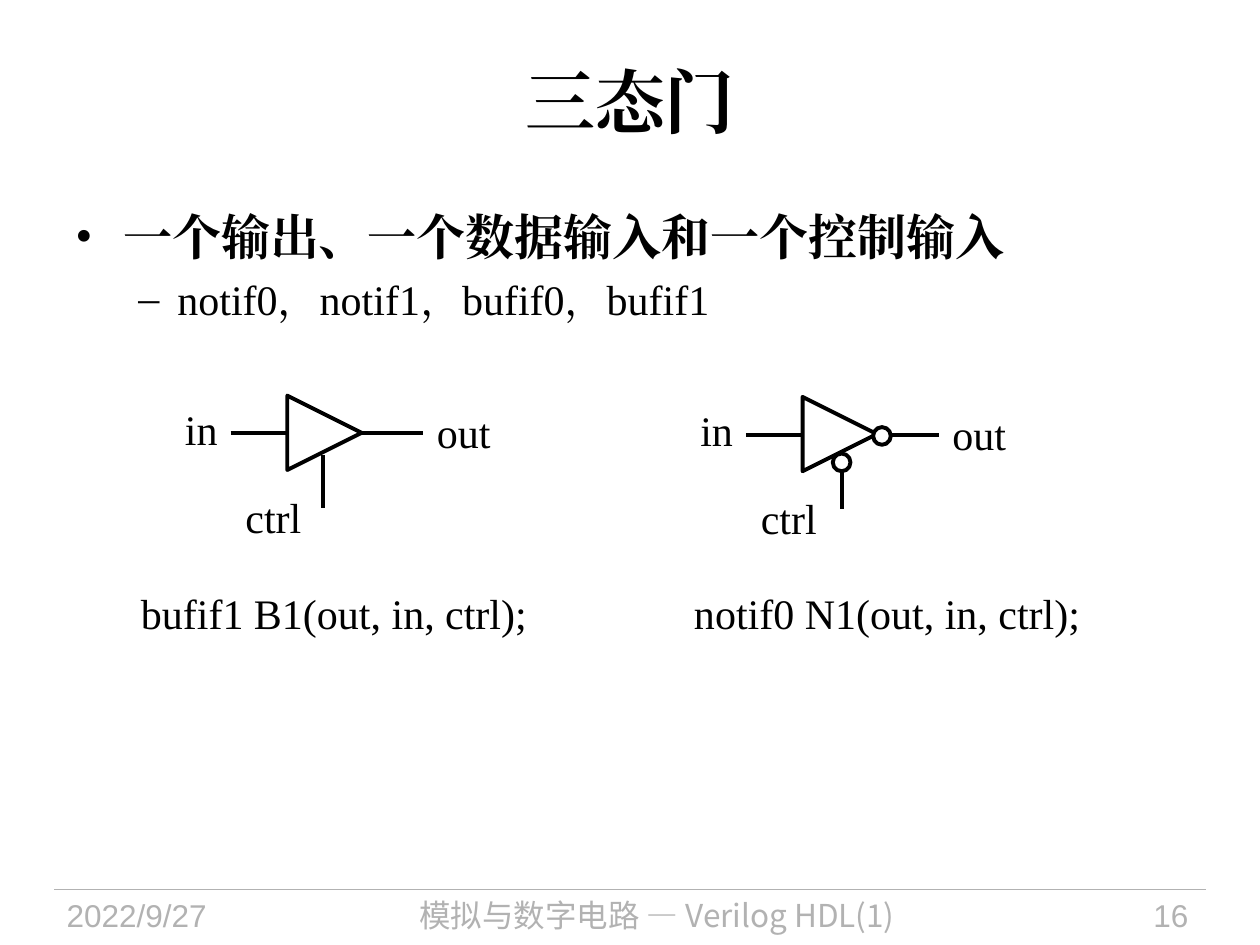
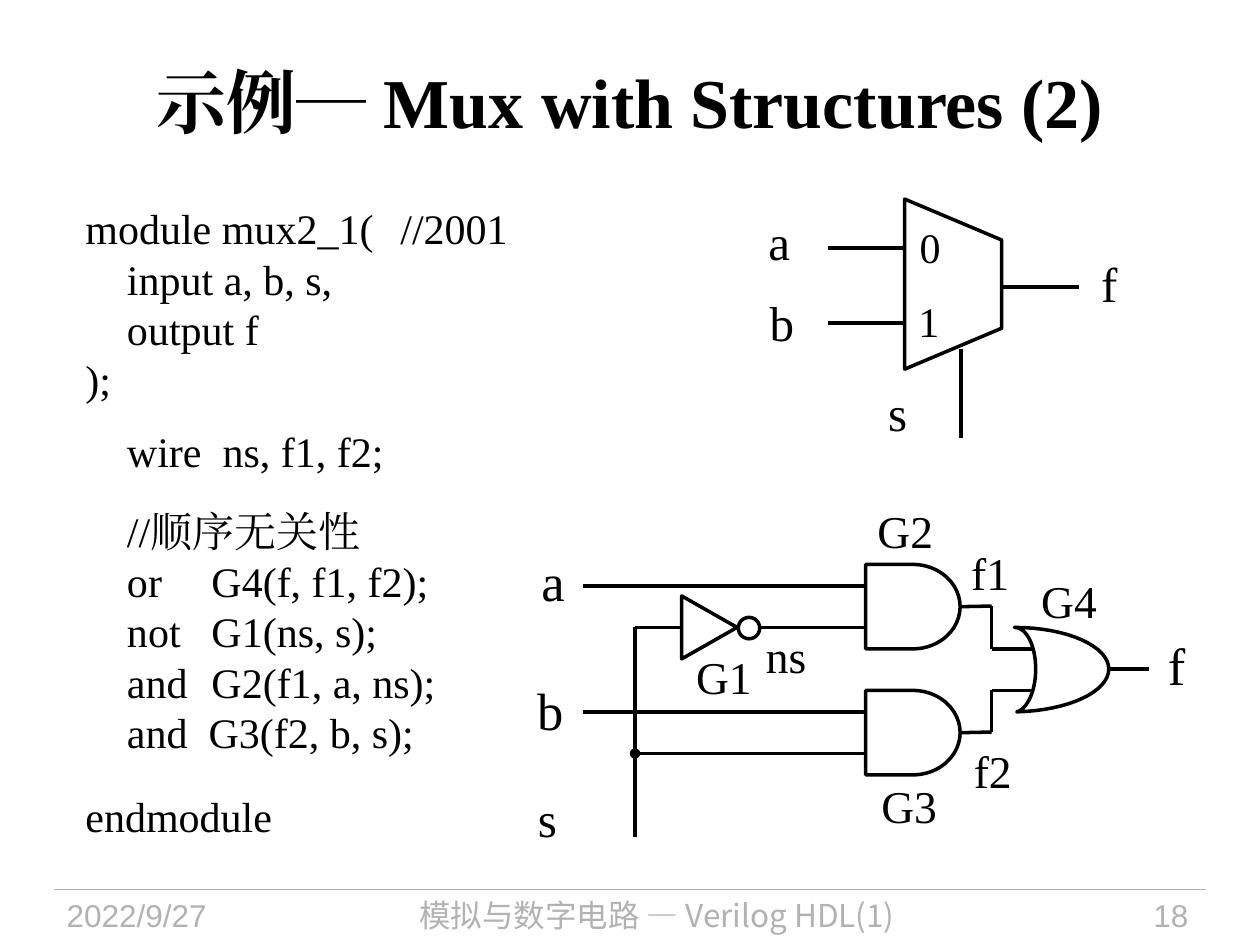
from dataclasses import dataclass
from typing import Any

from lxml.etree import SubElement
from pptx import Presentation
from pptx.dml.color import RGBColor
from pptx.enum.shapes import MSO_CONNECTOR, MSO_SHAPE
from pptx.enum.text import MSO_ANCHOR, PP_ALIGN
from pptx.oxml.ns import qn
from pptx.util import Inches, Pt

BLACK = RGBColor(0, 0, 0)
WHITE = RGBColor(255, 255, 255)
GRAY = RGBColor(0xB2, 0xB2, 0xB2)
SERIF, SANS, CJK = "Times New Roman", "Arial", "Noto Sans CJK SC"
LEFT, CENTER, RIGHT = PP_ALIGN.LEFT, PP_ALIGN.CENTER, PP_ALIGN.RIGHT
NORMAL, TIGHT = 1.2, 1.02  # line pitch as a multiple of the text size


def add_span(para, text, size, font=SERIF, color=BLACK, bold=False):
    span = para.add_run()
    span.text = text
    span.font.name, span.font.size, span.font.bold = font, Pt(size), bold
    span.font.color.rgb = color
    SubElement(span.font._element, qn("a:ea")).set("typeface", font)


def set_indent(para, margin, first, bullet=None, tab=None):
    properties = para._p.get_or_add_pPr()
    properties.set("marL", str(Inches(margin)))
    properties.set("indent", str(Inches(first)))
    if bullet:
        SubElement(properties, qn("a:buFont")).set("typeface", SERIF)
        SubElement(properties, qn("a:buChar")).set("char", bullet)
    if tab:
        stop = SubElement(SubElement(properties, qn("a:tabLst")), qn("a:tab"))
        stop.set("pos", str(Inches(tab)))
        stop.set("algn", "l")


@dataclass
class Region:
    """Part of a page; everything is placed relative to its corner."""
    page: Any
    left: float = 0
    top: float = 0

    def point(self, x, y):
        return Inches(self.left + x), Inches(self.top + y)

    def frame(self, x, y, width, height):
        box = self.page.shapes.add_textbox(
            *self.point(x, y), Inches(width), Inches(height))
        box.text_frame.word_wrap = True
        return box.text_frame

    def label(self, text, x, y, width=0.9, size=24, align=LEFT,
              pitch=NORMAL, font=SERIF, color=BLACK):
        para = self.frame(x, y, width, 0.44).paragraphs[0]
        para.alignment = align
        para.line_spacing = Pt(size * pitch)
        add_span(para, text, size, font, color)

    def outline(self, shape, line_width, fill=None):
        shape.shadow.inherit = False
        if fill is None:
            shape.fill.background()
        else:
            shape.fill.solid()
            shape.fill.fore_color.rgb = fill
        shape.line.color.rgb = BLACK
        shape.line.width = Pt(line_width)
        return shape

    def symbol(self, kind, x, y, width, height, line_width=2, fill=None, turn=0):
        shape = self.page.shapes.add_shape(
            kind, *self.point(x, y), Inches(width), Inches(height))
        shape.rotation = turn
        return self.outline(shape, line_width, fill)

    def wire(self, points, line_width=2, color=BLACK, source=None, dot=False):
        """Straight segments through the points, leaving the source's right side."""
        for number, (start, end) in enumerate(zip(points, points[1:])):
            segment = self.page.shapes.add_connector(
                MSO_CONNECTOR.STRAIGHT, *self.point(*start), *self.point(*end))
            segment.line.color.rgb = color
            segment.line.width = Pt(line_width)
            if dot:
                SubElement(segment.line._get_or_add_ln(),
                           qn("a:headEnd")).set("type", "oval")
            SubElement(segment._element.spPr, qn("a:effectLst"))
            if source is not None and number == 0:
                segment.begin_connect(source, 3)


def add_page(deck, title_spans, number):
    """Title and footer shared by all pages."""
    page = deck.slides.add_slide(deck.slide_layouts[5])
    title = page.shapes.title
    title.left, title.top = Inches(0.5), Inches(0.17)
    title.width, title.height = Inches(9), Inches(1.25)
    title.text_frame.vertical_anchor = MSO_ANCHOR.MIDDLE
    para = title.text_frame.paragraphs[0]
    para.alignment = CENTER
    for text, font in title_spans:
        add_span(para, text, 40, font, bold=True)

    footer = Region(page, 0.43, 7.06)
    footer.wire([(0, 0), (9.14, 0)], 0.75, GRAY)
    for text, x, width, align, font in (
            ("2022/9/27", 0, 1.88, LEFT, SANS),
            ("模拟与数字电路 — Verilog HDL(1)", 1.97, 5.63, CENTER, CJK),
            (str(number), 7.77, 1.33, RIGHT, SANS)):
        footer.label(text, x, 0, width, 18, align, NORMAL, font, GRAY)
    return page


def add_bullets(region):
    frame = region.frame(0, 0, 9, 1.2)
    bullets = (
        ("一个输出、一个数据输入和一个控制输入", 28, True, 0.38, -0.38, "•", 0),
        ("notif0，notif1，bufif0，bufif1", 24, False, 0.81, -0.31, "–", 4.8))
    for number, (text, size, bold, margin, first, mark, before) in enumerate(bullets):
        para = frame.add_paragraph() if number else frame.paragraphs[0]
        para.line_spacing, para.space_before = Pt(size * NORMAL), Pt(before)
        set_indent(para, margin, first, mark)
        add_span(para, text, size, bold=bold)


def add_tristate_gate(region, inverting):
    region.wire([(0.36, 0.24), (1.89, 0.24)], 2.25)
    region.symbol(MSO_SHAPE.FLOWCHART_EXTRACT, 0.81, -0.06, 0.59, 0.59,
                  2.25, WHITE, 90)
    control = 1.12 if inverting else 1.09
    region.wire([(control, 0.41), (control, 0.83)], 2.25)
    if inverting:
        for x, y in ((1.37, 0.18), (1.05, 0.39)):
            region.symbol(MSO_SHAPE.OVAL, x, y, 0.14, 0.14, 2.25, WHITE)
    for text, x, y in (("in", -0.1, -0.05), ("out", 1.9, -0.02),
                       ("ctrl", 0.38, 0.65)):
        region.label(text, x, y)


def add_code(region):
    frame = region.frame(0, 0, 4.53, 5.42)
    # text, first-line indent, space before in points, tab stop
    lines = (
        ("module mux2_1(\t//2001", 0, 0, 2.95),
        ("input a, b, s,", 0.33, 0, None),
        ("output f", 0.33, 0, None),
        (");", 0, 0, None),
        ("wire  ns, f1, f2;", 0.33, 12, None),
        ("//顺序无关性", 0.33, 16.8, None),
        ("or\tG4(f, f1, f2);", 0.33, 0, 1.38),
        ("not\tG1(ns, s);", 0.33, 0, 1.38),
        ("and\tG2(f1, a, ns);", 0.33, 0, 1.38),
        ("and  G3(f2, b, s);", 0.33, 0, None),
        ("endmodule", 0, 19.2, None))
    for number, (text, first, before, tab) in enumerate(lines):
        para = frame.add_paragraph() if number else frame.paragraphs[0]
        para.line_spacing, para.space_before = Pt(24 * NORMAL), Pt(before)
        set_indent(para, 0, first, tab=tab)
        add_span(para, text, 24)


def add_mux_symbol(region):
    for points in ([(1.63, 1.88), (1.63, 1.17)], [(0.57, 0.96), (1.18, 0.96)],
                   [(1.95, 0.68), (2.56, 0.68)], [(0.57, 0.37), (1.18, 0.37)]):
        region.wire(points, 2.25)
    body = region.symbol(MSO_SHAPE.TRAPEZOID, 0.89, 0.27, 1.35, 0.77, turn=90)
    body.adjustments[0] = 0.422
    for text, x, y, size in (
            ("a", 0, 0.03, 28), ("b", 0.01, 0.67, 28), ("s", 0.95, 1.39, 28),
            ("f", 2.64, 0.36, 28), ("0", 1.2, 0.11, 24), ("1", 1.19, 0.7, 24)):
        region.label(text, x, y, 0.45, size)


def curve(start, control_1, control_2, end, steps=16):
    """Points along a cubic curve, the start left out."""
    points = []
    for step in range(1, steps + 1):
        t = step / steps
        weights = ((1 - t) ** 3, 3 * t * (1 - t) ** 2, 3 * t * t * (1 - t), t ** 3)
        corners = (start, control_1, control_2, end)
        points.append(tuple(sum(w * corner[axis] for w, corner in zip(weights, corners))
                            for axis in (0, 1)))
    return points


def add_or_gate(region):
    top, bottom, nose, hollow = (0, 0), (0.02, 0.67), (0.75, 0.33), (0.17, 0.33)
    points = (curve(top, (0.42, 0), (0.75, 0.15), nose)
              + curve(nose, (0.75, 0.51), (0.43, 0.66), bottom)
              + curve(bottom, (0.1, 0.65), (0.17, 0.51), hollow)
              + curve(hollow, (0.17, 0.15), (0.1, 0), top))
    builder = region.page.shapes.build_freeform(*region.point(*top), scale=1.0)
    builder.add_line_segments([region.point(*point) for point in points], close=True)
    region.outline(builder.convert_to_shape(), 2)


def add_gate_circuit(region):
    # inverter G1
    region.symbol(MSO_SHAPE.ISOSCELES_TRIANGLE, 1.38, 0.76, 0.5, 0.44, turn=90)
    region.symbol(MSO_SHAPE.OVAL, 1.86, 0.9, 0.17, 0.17)
    # AND gates G2 and G3, each with its stepped output
    for top, joint in ((0.48, 1.15), (1.48, 1.48)):
        gate = region.symbol(MSO_SHAPE.FLOWCHART_DELAY, 2.87, top, 0.75, 0.67)
        middle = top + 0.33
        region.wire([(0.63, top + 0.17), (2.87, top + 0.17)])
        region.wire([(3.62, middle), (3.87, middle), (3.87, joint), (4.2, joint)],
                    source=gate)
    # OR gate G4
    add_or_gate(Region(region.page, region.left + 4.05, region.top + 0.98))
    region.wire([(4.79, 1.31), (5.12, 1.31)])
    # select line and its branches
    region.wire([(1.41, 0.98), (1.04, 0.98), (1.04, 2.64)])
    region.wire([(2.04, 0.98), (2.87, 0.98)])
    region.wire([(1.04, 1.98), (2.87, 1.98)], dot=True)
    for text, x, y, width, size, align in (
            ("a", 0.09, 0.38, 0.49, 30, RIGHT), ("b", 0.06, 1.41, 0.51, 30, RIGHT),
            ("s", 0.17, 2.28, 0.86, 28, LEFT), ("f", 5.17, 1.05, 0.5, 30, LEFT),
            ("ns", 1.98, 1, 0.97, 26, LEFT), ("f1", 3.61, 0.34, 0.75, 26, LEFT),
            ("f2", 3.63, 1.91, 0.75, 26, LEFT), ("G1", 1.37, 1.17, 0.75, 26, CENTER),
            ("G2", 2.81, 0.01, 0.75, 26, CENTER), ("G3", 2.84, 2.19, 0.75, 26, CENTER),
            ("G4", 4.11, 0.56, 0.75, 26, CENTER)):
        region.label(text, x, y, width, size, align, TIGHT)


def add_tristate_page(deck):
    page = add_page(deck, [("三态门", SERIF)], 16)
    add_bullets(Region(page, 0.5, 1.59))
    add_tristate_gate(Region(page, 1.47, 3.2), inverting=False)
    add_tristate_gate(Region(page, 5.56, 3.21), inverting=True)
    for text, left in (("bufif1 B1(out, in, ctrl);", 1.02),
                       ("notif0 N1(out, in, ctrl);", 5.41)):
        Region(page, left, 4.61).label(text, 0, 0, 3.5)


def add_mux_page(deck):
    page = add_page(deck, [("示例", SERIF), ("─", CJK),
                           (" Mux with Structures (2)", SERIF)], 18)
    add_code(Region(page, 0.58, 1.56))
    add_mux_symbol(Region(page, 6, 1.6))
    add_gate_circuit(Region(page, 4, 4))


def main():
    deck = Presentation()
    deck.slide_width, deck.slide_height = Inches(10), Inches(7.5)
    add_tristate_page(deck)
    add_mux_page(deck)
    deck.save("out.pptx")


if __name__ == "__main__":
    main()
